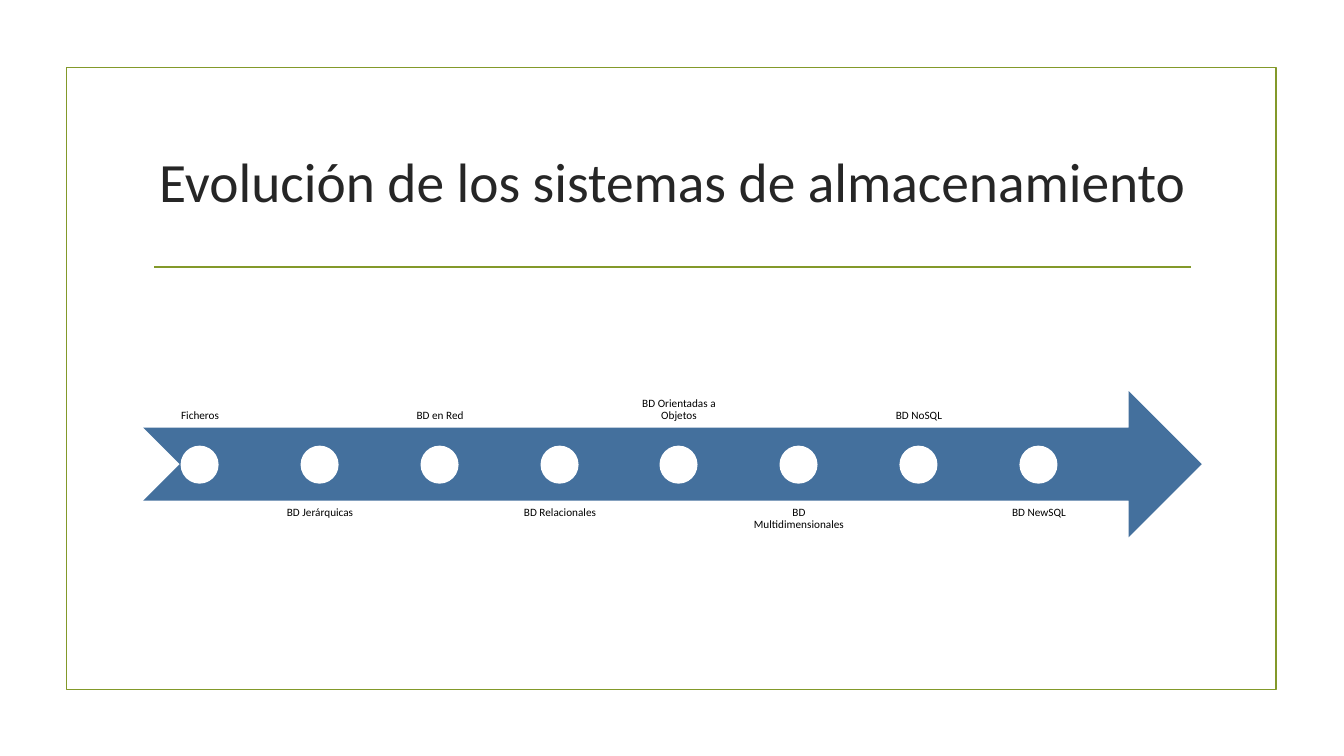
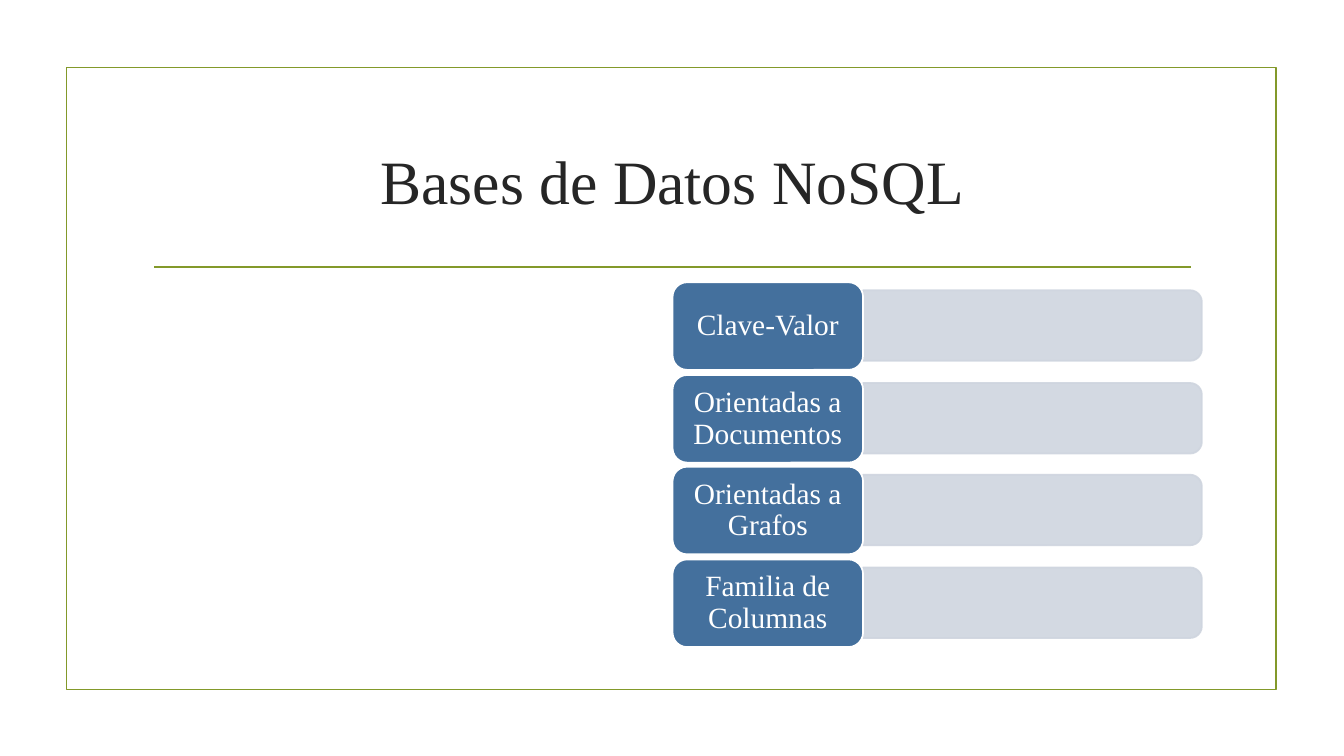
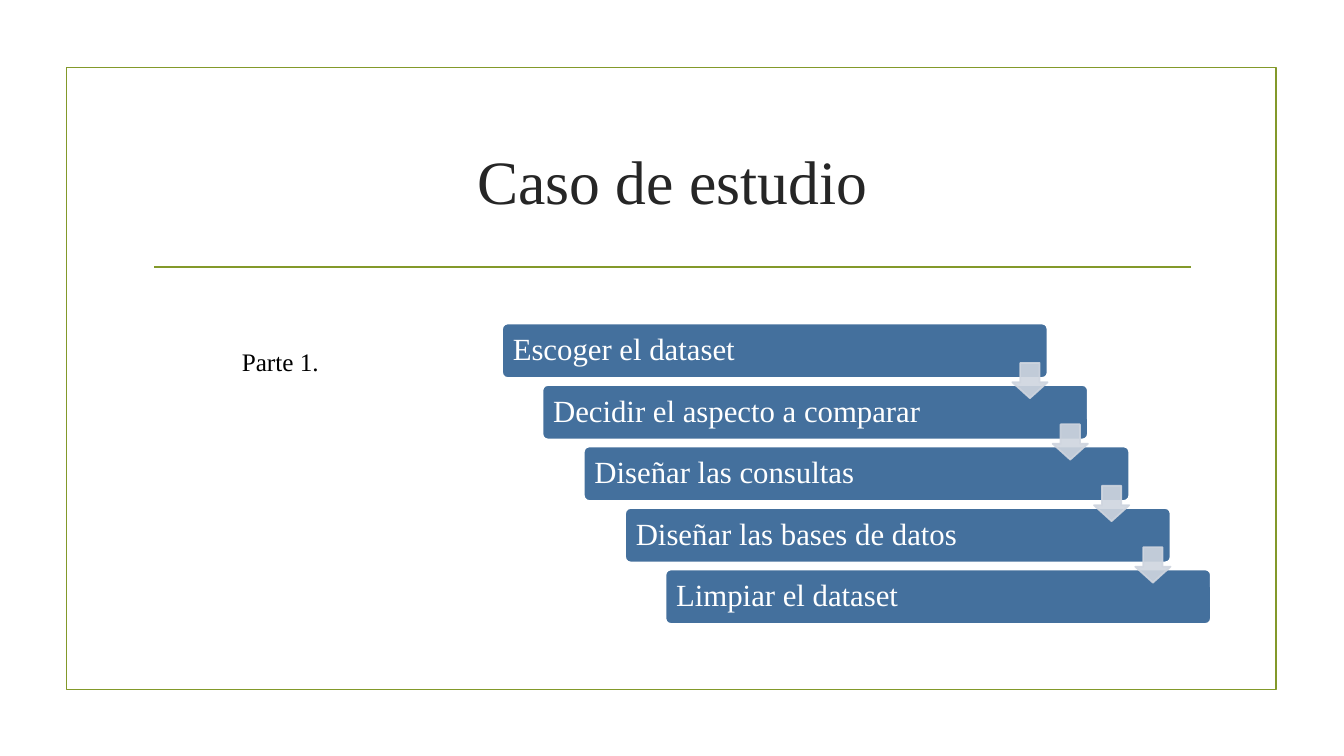
from lxml import etree
from pptx import Presentation
from pptx import util as u
from pptx.dml.color import RGBColor
from pptx.enum import shapes, text
from pptx.oxml import ns

PX = 9144
COLORS = {
    "olive": "83992A",
    "blue": "44709D",
    "mist": "CFD5DF",
    "white": "FFFFFF",
    "ink": "262626",
    "black": "000000",
}
SERIF, SANS = "Times New Roman", "Calibri"
LINE_WIDTH = u.Pt(1.25)
CENTER, LEFT = text.PP_ALIGN.CENTER, text.PP_ALIGN.LEFT
TOP, MIDDLE, BOTTOM = text.MSO_ANCHOR.TOP, text.MSO_ANCHOR.MIDDLE, text.MSO_ANCHOR.BOTTOM
PRESET = shapes.MSO_SHAPE

ERAS = [
    "Ficheros", "BD Jerárquicas", "BD en Red", "BD Relacionales",
    "BD Orientadas a Objetos", "BD Multidimensionales", "BD NoSQL", "BD NewSQL",
]
FAMILIES = ["Clave-Valor", "Orientadas a Documentos", "Orientadas a Grafos", "Familia de Columnas"]
STEPS = [
    "Escoger el dataset", "Decidir el aspecto a comparar", "Diseñar las consultas",
    "Diseñar las bases de datos", "Limpiar el dataset",
]


def rgb(color):
    """Return the named colour."""
    return RGBColor.from_string(COLORS[color])


def emu(*lengths):
    """Turn px lengths into EMU."""
    return [u.Emu(length * PX) for length in lengths]


def apply(target, values):
    """Set each named attribute of the target."""
    for name, value in values.items():
        setattr(target, name, value)


def write(shape, wording, size, color, font=SERIF, align=CENTER, anchor=MIDDLE,
          inset=(10, 5), spacing=1.0):
    """Write one paragraph into a shape."""
    side, edge = emu(*inset)
    frame = shape.text_frame
    apply(frame, {
        "word_wrap": True, "vertical_anchor": anchor,
        "margin_left": side, "margin_right": side,
        "margin_top": edge, "margin_bottom": edge,
    })
    paragraph = frame.paragraphs[0]
    apply(paragraph, {"alignment": align, "line_spacing": spacing})
    run = paragraph.add_run()
    run.text = wording
    apply(run.font, {"name": font, "size": u.Pt(size)})
    run.font.color.rgb = rgb(color)


def add_label(slide, box, wording, size, color, **style):
    """Add a text box with one paragraph."""
    label = slide.shapes.add_textbox(*emu(*box))
    write(label, wording, size, color, **style)
    return label


def add_preset(slide, preset, box, fill=None, line=None, alpha=None, adjustments=()):
    """Add a flat preset shape."""
    shape = slide.shapes.add_shape(preset, *emu(*box))
    shape.shadow.inherit = False
    for index, value in enumerate(adjustments):
        shape.adjustments[index] = value
    if fill:
        shape.fill.solid()
        shape.fill.fore_color.rgb = rgb(fill)
    else:
        shape.fill.background()
    if line:
        shape.line.width = LINE_WIDTH
        shape.line.color.rgb = rgb(line)
    else:
        shape.line.fill.background()
    if alpha:
        for tint in list(shape.element.spPr.iter(ns.qn("a:srgbClr"))):
            etree.SubElement(tint, ns.qn("a:alpha"), val=str(alpha * 1000))
    return shape


def add_framed_slide(deck, title, size=44, font=SERIF):
    """Add a slide with the shared frame, rule and title."""
    slide = deck.slides.add_slide(deck.slide_layouts[6])
    add_preset(slide, PRESET.RECTANGLE, (66, 67, 1200, 617), line="olive")
    rule = slide.shapes.add_connector(shapes.MSO_CONNECTOR.STRAIGHT, *emu(153, 265, 1181, 265))
    rule.line.width = LINE_WIDTH
    rule.line.color.rgb = rgb("olive")
    etree.SubElement(rule.element.spPr, ns.qn("a:effectLst"))
    add_label(slide, (142, 107, 1050, 143), title, size, "ink", font=font)
    return slide


def add_timeline(slide, box, eras):
    """Draw an arrow with dots and labels alternating above and below."""
    left, top, width, height = box
    band, label_width, dot = 145, 113, 36
    add_preset(slide, PRESET.NOTCHED_RIGHT_ARROW,
               (left, top + (height - band) // 2, width, band), fill="blue")
    for index, era in enumerate(eras):
        x = left + round(index * 832 / 7)
        below = index % 2
        label_top = top + height - band if below else top
        add_label(slide, (x, label_top, label_width, band), era, 8, "black", font=SANS,
                  anchor=TOP if below else BOTTOM, inset=(6, 6), spacing=0.9)
        add_preset(slide, PRESET.OVAL,
                   (x + (label_width - dot) // 2, top + (height - dot) // 2, dot, dot),
                   fill="white", line="white")


def add_families(slide, box, families):
    """Stack name cards, each with an empty bar on its right."""
    left, top, width, height = box
    card_width, card_height, bar_height = 189, 87, 70
    bar_width = width - card_width
    pitch = (height - card_height) / (len(families) - 1)
    for index, family in enumerate(families):
        y = top + round(index * pitch)
        center_x = left + card_width + bar_width // 2
        center_y = y + card_height // 2
        bar = add_preset(slide, PRESET.ROUND_2_SAME_RECTANGLE,
                         (center_x - bar_height // 2, center_y - bar_width // 2,
                          bar_height, bar_width),
                         fill="mist", line="mist", alpha=90)
        bar.rotation = 90
        card = add_preset(slide, PRESET.ROUNDED_RECTANGLE, (left, y, card_width, card_height),
                          fill="blue", line="white")
        write(card, family, 21, "white", inset=(9, 4), spacing=0.9)


def add_staircase(slide, box, steps):
    """Draw descending steps joined by down arrows."""
    left, top, width, height = box
    step_width, step_height, arrow = 541, 54, 35
    gaps = len(steps) - 1
    corners = [(left + round(index * (width - step_width) / gaps),
                top + round(index * (height - step_height) / gaps))
               for index in range(len(steps))]
    for (x, y), step in zip(corners, steps):
        card = add_preset(slide, PRESET.ROUNDED_RECTANGLE, (x, y, step_width, step_height),
                          fill="blue", line="white", adjustments=[0.1])
        write(card, step, 22, "white", align=LEFT, inset=(9, 9), spacing=0.9)
    for x, y in corners[:-1]:
        add_preset(slide, PRESET.DOWN_ARROW, (x + step_width - arrow, y + 39, arrow, arrow),
                   fill="mist", line="mist", alpha=90, adjustments=[0.55, 0.45])


def main():
    """Build the deck."""
    deck = Presentation()
    deck.slide_width, deck.slide_height = emu(1333, 750)

    evolution = add_framed_slide(deck, "Evolución de los sistemas de almacenamiento", 39.6, SANS)
    add_timeline(evolution, (142, 280, 1050, 362), ERAS)

    nosql = add_framed_slide(deck, "Bases de Datos NoSQL")
    add_families(nosql, (667, 280, 525, 362), FAMILIES)

    study = add_framed_slide(deck, "Caso de estudio")
    add_staircase(study, (498, 321, 703, 298), STEPS)
    part = add_label(study, (230, 339, 196, 40), "Parte 1.", 18, "black", align=LEFT, anchor=TOP)
    part.text_frame.auto_size = text.MSO_AUTO_SIZE.SHAPE_TO_FIT_TEXT

    deck.save("out.pptx")


if __name__ == "__main__":
    main()
